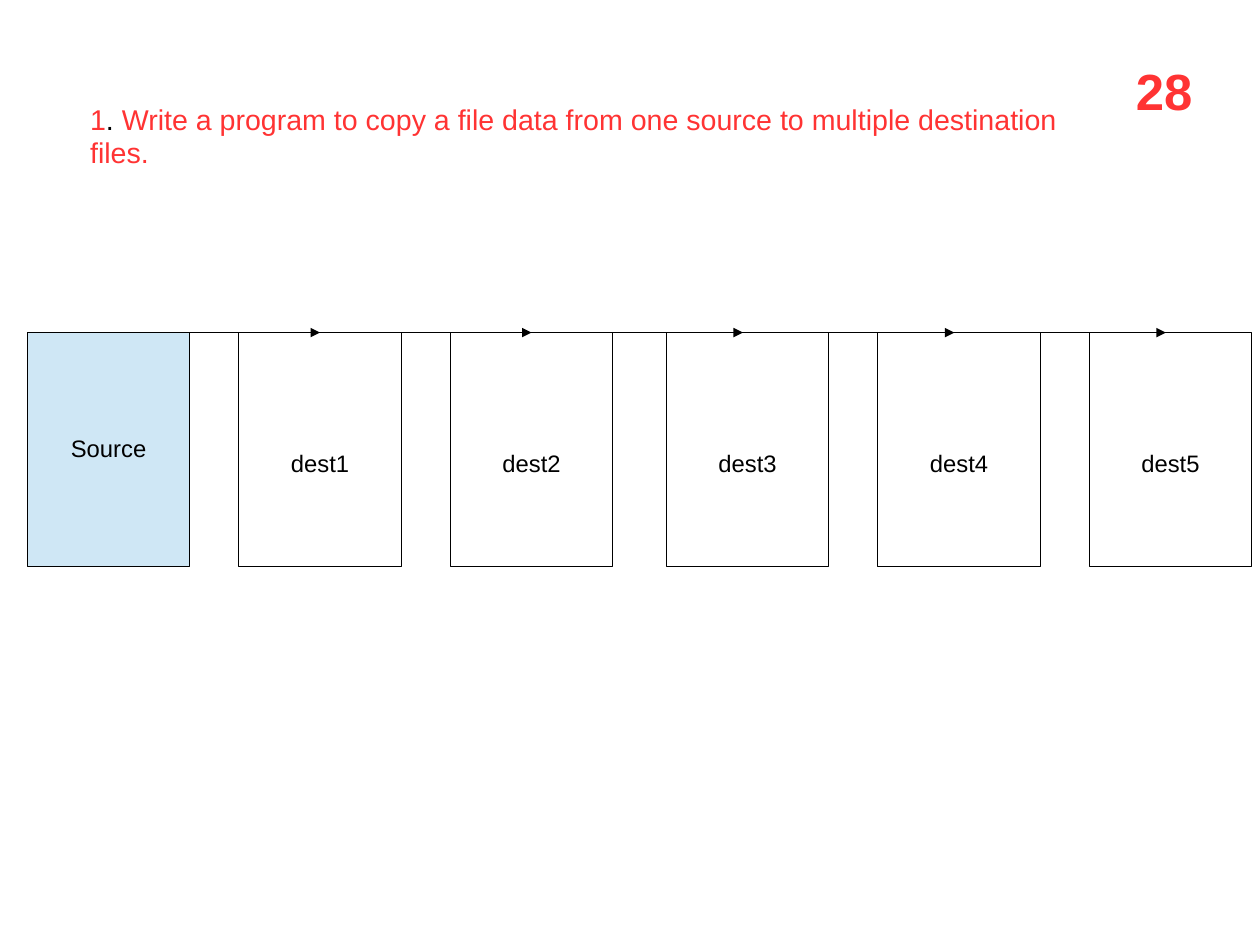
from dataclasses import dataclass

from lxml import etree
from pptx import Presentation
from pptx import util as u
from pptx.dml.color import RGBColor
from pptx.enum import shapes, text
from pptx.oxml import ns

BLACK = RGBColor(0x00, 0x00, 0x00)
WHITE = RGBColor(0xFF, 0xFF, 0xFF)
RED = RGBColor(0xFF, 0x33, 0x33)
PALE_BLUE = RGBColor(0xCF, 0xE7, 0xF5)

CM_PER_INCH = 2.54
PAGE_WIDTH, PAGE_HEIGHT = 28 / CM_PER_INCH, 21 / CM_PER_INCH
FONT = "Arial"
LINE_SPACING = 0.94
LINE_WIDTH = u.Pt(0.75)
FILE_TOP, FILE_WIDTH, FILE_HEIGHT = 2.91, 1.42, 2.05
STEP = 1.85
FIRST_LEFT, FIRST_CENTRE = 0.24, 0.95
DESTINATIONS = 5


@dataclass(frozen=True)
class Span:
    words: str
    size: float
    color: RGBColor
    bold: bool = False


@dataclass(frozen=True)
class FileBox:
    label: str
    left: float
    fill: RGBColor
    top_inset: float


@dataclass(frozen=True)
class Caption:
    left: float
    top: float
    width: float
    height: float
    wrap: bool
    spans: tuple[Span, ...]


def write_spans(para, spans: tuple[Span, ...]) -> None:
    para.line_spacing = LINE_SPACING
    for span in spans:
        run = para.add_run()
        run.text = span.words
        run.font.name = FONT
        run.font.size = u.Pt(span.size)
        run.font.bold = span.bold
        run.font.color.rgb = span.color


def draw_file(page, file: FileBox) -> None:
    box = page.shapes.add_shape(
        shapes.MSO_SHAPE.RECTANGLE,
        u.Inches(file.left), u.Inches(FILE_TOP),
        u.Inches(FILE_WIDTH), u.Inches(FILE_HEIGHT),
    )
    box.shadow.inherit = False
    box.fill.solid()
    box.fill.fore_color.rgb = file.fill
    box.line.color.rgb = BLACK
    box.line.width = LINE_WIDTH
    frame = box.text_frame
    frame.word_wrap = False
    frame.vertical_anchor = text.MSO_ANCHOR.MIDDLE
    frame.margin_top = u.Inches(file.top_inset)
    para = frame.paragraphs[0]
    para.alignment = text.PP_ALIGN.CENTER
    write_spans(para, (Span(file.label, 15, BLACK),))


def draw_arrow(page, start: float) -> None:
    arrow = page.shapes.add_connector(
        shapes.MSO_CONNECTOR.STRAIGHT,
        u.Inches(start), u.Inches(FILE_TOP),
        u.Inches(start + STEP), u.Inches(FILE_TOP),
    )
    arrow.line.color.rgb = BLACK
    arrow.line.width = LINE_WIDTH
    properties = arrow.element.spPr
    outline = properties.find(ns.qn("a:ln"))
    etree.SubElement(outline, ns.qn("a:tailEnd"), type="triangle")
    etree.SubElement(properties, ns.qn("a:effectLst"))


def draw_caption(page, caption: Caption) -> None:
    box = page.shapes.add_textbox(
        u.Inches(caption.left), u.Inches(caption.top),
        u.Inches(caption.width), u.Inches(caption.height),
    )
    frame = box.text_frame
    frame.word_wrap = caption.wrap
    if not caption.wrap:
        frame.auto_size = text.MSO_AUTO_SIZE.SHAPE_TO_FIT_TEXT
    write_spans(frame.paragraphs[0], caption.spans)


def file_boxes() -> list[FileBox]:
    files = [FileBox("Source", FIRST_LEFT, PALE_BLUE, 0.05)]
    for number in range(1, DESTINATIONS + 1):
        nudge = 0.04 if number >= 3 else 0
        left = FIRST_LEFT + STEP * number + nudge
        files.append(FileBox(f"dest{number}", left, WHITE, 0.3))
    return files


CAPTIONS = (
    Caption(0.69, 0.87, 9.23, 0.4, True, (
        Span("1", 18, RED),
        Span(". ", 18, BLACK),
        Span("Write a program to copy a file data from one source "
             "to multiple destination files.", 18, RED),
    )),
    Caption(9.84, 0.52, 0.7, 0.63, False, (Span("28", 32, RED, True),)),
)


def main() -> None:
    deck = Presentation()
    deck.slide_width = u.Inches(PAGE_WIDTH)
    deck.slide_height = u.Inches(PAGE_HEIGHT)
    page = deck.slides.add_slide(deck.slide_layouts[6])
    for file in file_boxes():
        draw_file(page, file)
    for index in range(DESTINATIONS):
        draw_arrow(page, FIRST_CENTRE + STEP * index)
    for caption in CAPTIONS:
        draw_caption(page, caption)
    deck.save("out.pptx")


if __name__ == "__main__":
    main()
